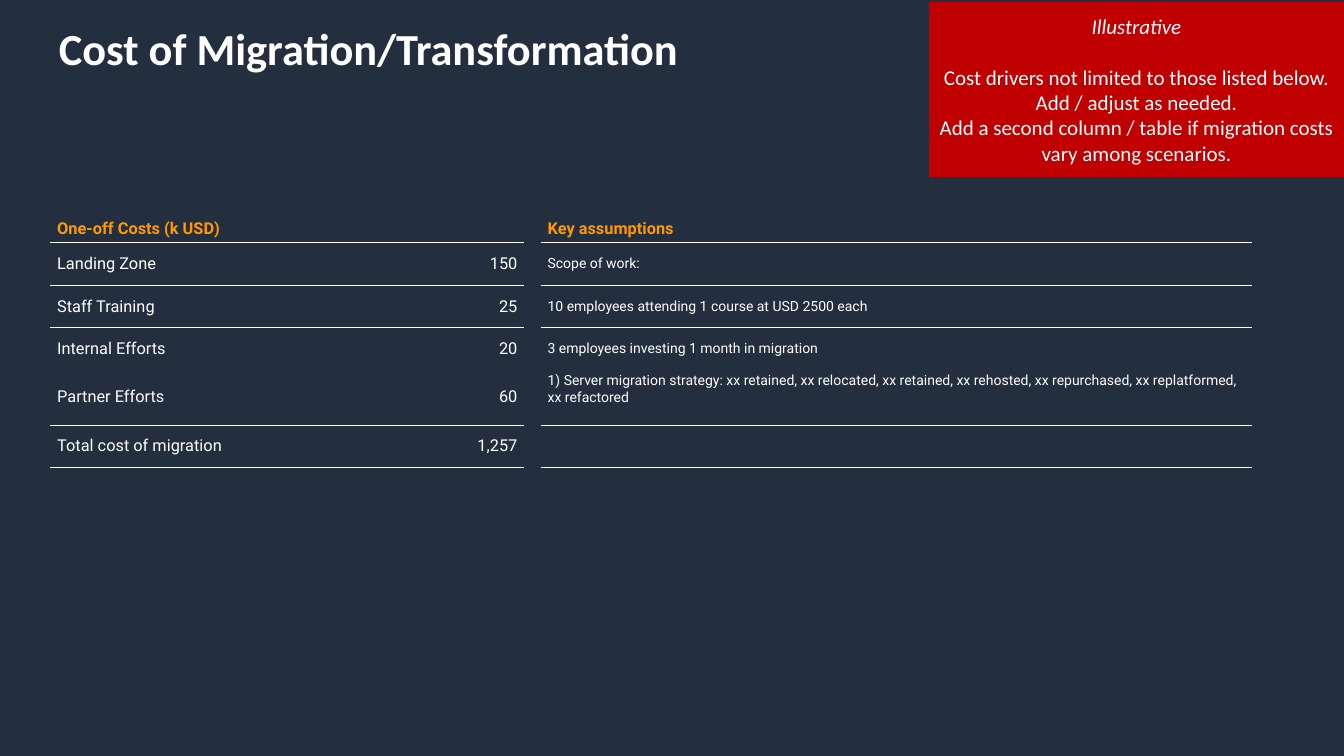
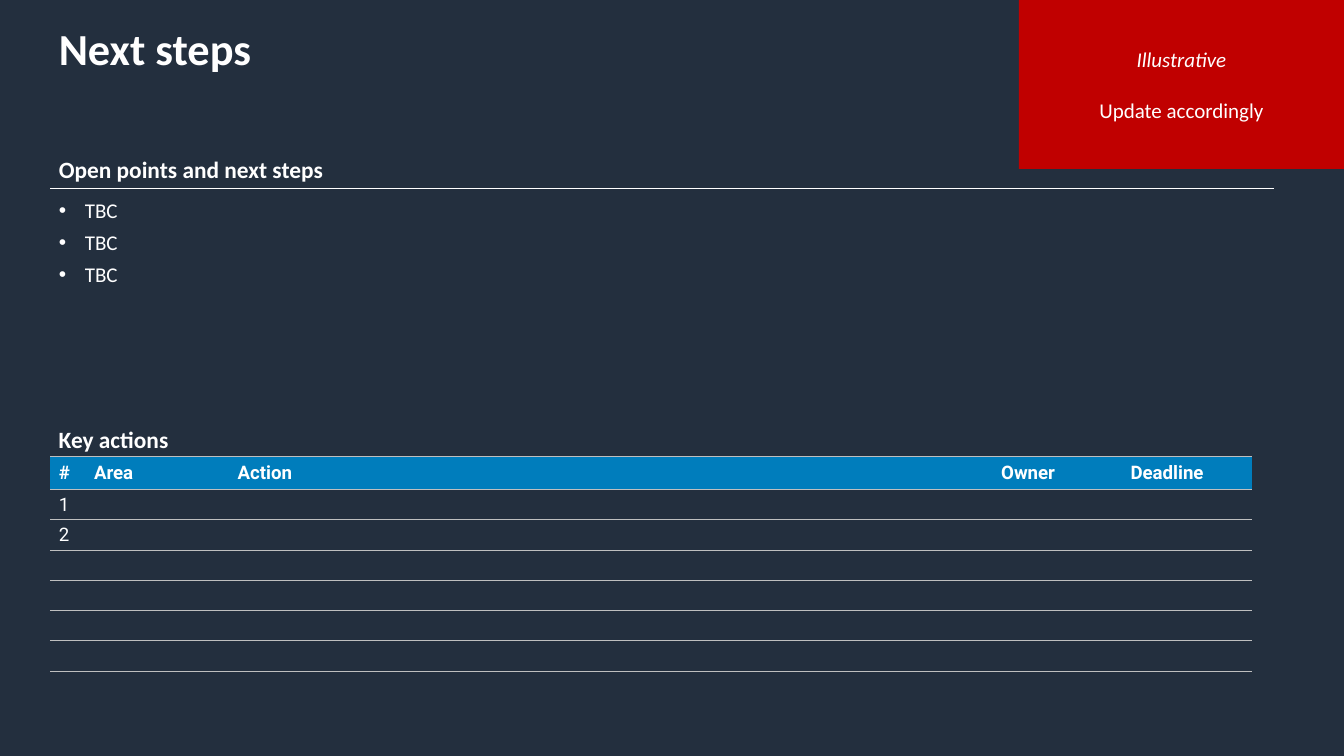
from dataclasses import dataclass

from lxml.etree import SubElement
from pptx import Presentation
from pptx.dml.color import RGBColor
from pptx.enum.shapes import MSO_CONNECTOR, MSO_SHAPE
from pptx.enum.text import MSO_ANCHOR, MSO_AUTO_SIZE, PP_ALIGN
from pptx.oxml.ns import qn
from pptx.util import Inches, Pt


@dataclass(frozen=True)
class Theme:
    background: str = "232F3E"
    text: str = "FFFFFF"
    accent: str = "FF9900"
    header: str = "007DBC"
    note: str = "C00000"
    grid: str = "BFBFBF"
    font: str = "Calibri"
    table_font: str = "Roboto"
    title_size: int = 38
    heading_size: int = 20
    body_size: int = 18
    action_size: int = 16
    cost_size: int = 14
    assumption_size: int = 12


THEME = Theme()
WIDTH, HEIGHT = 16, 9
LEFT, TEXT_WIDTH = 0.6, 14.78
PLAIN_TABLE = "{2D5ABB26-0587-4C30-8999-92F81FD0307C}"

# Content
COST_TITLE = "Cost of Migration/Transformation"
COST_NOTES = [
    "Cost drivers not limited to those listed below. Add / adjust as needed.",
    "Add a second column / table if migration costs vary among scenarios.",
]
COSTS = [
    ("One-off Costs (k USD)", "", "", "Key assumptions"),
    ("Landing Zone", "150", "", "Scope of work:"),
    ("Staff Training", "25", "", "10 employees attending 1 course at USD 2500 each"),
    ("Internal Efforts", "20", "", "3 employees investing 1 month in migration"),
    ("Partner Efforts", "60", "",
     "1) Server migration strategy: xx retained, xx relocated, xx retained, "
     "xx rehosted, xx repurchased, xx replatformed, xx refactored"),
    ("Total cost of migration", "1,257", "", ""),
]
COST_COLUMNS = [3.9, 1.74, 0.19, 8.46]
COST_ROWS = [0.33, 0.51, 0.5, 0.5, 0.66, 0.5]
AMOUNT, GAP, ASSUMPTION = 1, 2, 3
RULED_ROWS = {0, 1, 4, 5}
PARTNER_ROW = 4

STEPS_TITLE = "Next steps"
STEPS_NOTES = ["Update accordingly"]
OPEN_POINTS = ["TBC", "TBC", "TBC"]
ACTION_HEADER = ("#", "Area", "Action", "Owner", "Deadline")
ACTION_NUMBERS = ["1", "2", "", "", "", ""]
ACTIONS = [ACTION_HEADER] + [(number, "", "", "", "") for number in ACTION_NUMBERS]
ACTION_COLUMNS = [0.42, 1.71, 9.09, 1.54, 1.54]
ACTION_ROWS = [0.39] + [0.36] * len(ACTION_NUMBERS)


def rgb(color):
    return RGBColor.from_string(color)


def inches(*lengths):
    return [Inches(length) for length in lengths]


def add_run(paragraph, text, size, font=THEME.font, color=THEME.text,
            bold=False, italic=False):
    run = paragraph.add_run()
    run.text = text
    run.font.name, run.font.size = font, Pt(size)
    run.font.bold, run.font.italic = bold, italic
    run.font.color.rgb = rgb(color)


def place(shape, left, top, width, height):
    shape.left, shape.top, shape.width, shape.height = inches(left, top, width, height)


def add_slide(presentation, layout, title):
    slide = presentation.slides.add_slide(presentation.slide_layouts[layout])
    frame = slide.shapes.title.text_frame
    frame.vertical_anchor = MSO_ANCHOR.TOP
    frame.auto_size = MSO_AUTO_SIZE.NONE
    paragraph = frame.paragraphs[0]
    paragraph.alignment = PP_ALIGN.LEFT
    add_run(paragraph, title, THEME.title_size, bold=True)
    return slide


def add_note(slide, top, width, height, lines):
    """Red box flush with the right edge of the slide."""
    box = slide.shapes.add_shape(
        MSO_SHAPE.RECTANGLE, *inches(WIDTH - width, top, width, height))
    box.shadow.inherit = False
    box.fill.solid()
    box.fill.fore_color.rgb = rgb(THEME.note)
    box.line.fill.background()
    frame = box.text_frame
    frame.word_wrap = True
    frame.vertical_anchor = MSO_ANCHOR.MIDDLE
    paragraph = frame.paragraphs[0]
    add_run(paragraph, "Illustrative", THEME.body_size, italic=True)
    paragraph.alignment = PP_ALIGN.CENTER
    for index, line in enumerate(lines):
        paragraph = frame.add_paragraph()
        paragraph.alignment = PP_ALIGN.CENTER
        paragraph.space_before = Pt(0 if index else 22)
        add_run(paragraph, line, THEME.body_size)


def add_heading(frame, text):
    paragraph = frame.paragraphs[0]
    paragraph.space_before, paragraph.space_after = Pt(0), Pt(12)
    add_run(paragraph, text, THEME.heading_size, bold=True)
    return paragraph


def set_bullet(paragraph, character=None, indent=0):
    properties = paragraph._p.get_or_add_pPr()
    properties.set("marL", str(Inches(indent)))
    properties.set("indent", str(-Inches(indent)))
    if character:
        SubElement(properties, qn("a:buChar")).set("char", character)
    else:
        SubElement(properties, qn("a:buNone"))


def add_plain_table(slide, top, columns, rows):
    frame = slide.shapes.add_table(
        len(rows), len(columns), *inches(LEFT, top, sum(columns), sum(rows)))
    table = frame.table
    table.first_row = table.horz_banding = False
    table._tbl.tblPr.find(qn("a:tableStyleId")).text = PLAIN_TABLE
    for column, width in zip(table.columns, columns):
        column.width = Inches(width)
    for row, height in zip(table.rows, rows):
        row.height = Inches(height)
    return table


def set_border(cell, side, color):
    line = SubElement(cell._tc.get_or_add_tcPr(), qn(f"a:{side}"), w=str(Pt(1)))
    fill = SubElement(line, qn("a:solidFill"))
    SubElement(fill, qn("a:srgbClr"), val=color)


def fill_cell(cell, text, size, fill=None, **style):
    cell.vertical_anchor = MSO_ANCHOR.MIDDLE
    if fill:
        cell.fill.solid()
        cell.fill.fore_color.rgb = rgb(fill)
    else:
        cell.fill.background()
    paragraph = cell.text_frame.paragraphs[0]
    if text:
        add_run(paragraph, text, size, THEME.table_font, **style)
    else:
        # An empty cell needs its own type size to keep the row low
        end = SubElement(paragraph._p, qn("a:endParaRPr"), sz=str(size * 100))
        SubElement(end, qn("a:latin"), typeface=THEME.table_font)
    return paragraph


def build_costs(presentation):
    slide = add_slide(presentation, 5, COST_TITLE)
    add_note(slide, 0.02, 4.94, 2.09, COST_NOTES)

    # Costs and assumptions, split by a narrow gap column
    table = add_plain_table(slide, 2.56, COST_COLUMNS, COST_ROWS)
    for row, values in enumerate(COSTS):
        for column, text in enumerate(values):
            cell = table.cell(row, column)
            cell.margin_left = cell.margin_right = Inches(0.08)
            cell.margin_top = cell.margin_bottom = Inches(0.04)
            if column != GAP:
                if row - 1 in RULED_ROWS:
                    set_border(cell, "lnT", THEME.text)
                if row in RULED_ROWS:
                    set_border(cell, "lnB", THEME.text)
            is_header = row == 0
            small = column == ASSUMPTION and not is_header
            paragraph = fill_cell(
                cell, text, THEME.assumption_size if small else THEME.cost_size,
                color=THEME.accent if is_header else THEME.text, bold=is_header)
            if column == AMOUNT:
                paragraph.alignment = PP_ALIGN.RIGHT
    table.cell(PARTNER_ROW, ASSUMPTION).margin_bottom = Inches(0.23)


def build_next_steps(presentation):
    slide = add_slide(presentation, 1, STEPS_TITLE)

    # Action table
    table = add_plain_table(slide, 5.44, ACTION_COLUMNS, ACTION_ROWS)
    for row, values in enumerate(ACTIONS):
        for column, text in enumerate(values):
            cell = table.cell(row, column)
            set_border(cell, "lnT", THEME.grid)
            set_border(cell, "lnB", THEME.grid)
            is_header = row == 0
            fill_cell(cell, text, THEME.action_size,
                      THEME.header if is_header else None, bold=is_header)

    # Open points
    body = slide.placeholders[1]
    place(body, LEFT, 1.8, TEXT_WIDTH, 2.74)
    frame = body.text_frame
    frame.auto_size = MSO_AUTO_SIZE.NONE
    set_bullet(add_heading(frame, "Open points and next steps"))
    for point in OPEN_POINTS:
        paragraph = frame.add_paragraph()
        paragraph.space_before, paragraph.space_after = Pt(0), Pt(6)
        set_bullet(paragraph, "•", 0.31)
        add_run(paragraph, point, THEME.body_size)

    # Rule below the heading
    rule = slide.shapes.add_connector(
        MSO_CONNECTOR.STRAIGHT, *inches(LEFT, 2.24, 15.17, 2.24))
    rule.line.color.rgb = rgb(THEME.text)
    rule.line.width = Pt(1)
    SubElement(rule._element.spPr, qn("a:effectLst"))

    # Heading of the action table
    label = slide.shapes.add_textbox(*inches(LEFT, 5.01, TEXT_WIDTH, 0.44))
    label.text_frame.word_wrap = True
    add_heading(label.text_frame, "Key actions")

    add_note(slide, 0, 3.87, 2.01, STEPS_NOTES)


def main():
    presentation = Presentation()
    presentation.slide_width, presentation.slide_height = inches(WIDTH, HEIGHT)

    # Shared background and title position
    master = presentation.slide_master
    master.background.fill.solid()
    master.background.fill.fore_color.rgb = rgb(THEME.background)
    place(master.placeholders[0], LEFT, 0.2, TEXT_WIDTH, 0.99)

    build_costs(presentation)
    build_next_steps(presentation)
    presentation.save("out.pptx")


if __name__ == "__main__":
    main()
